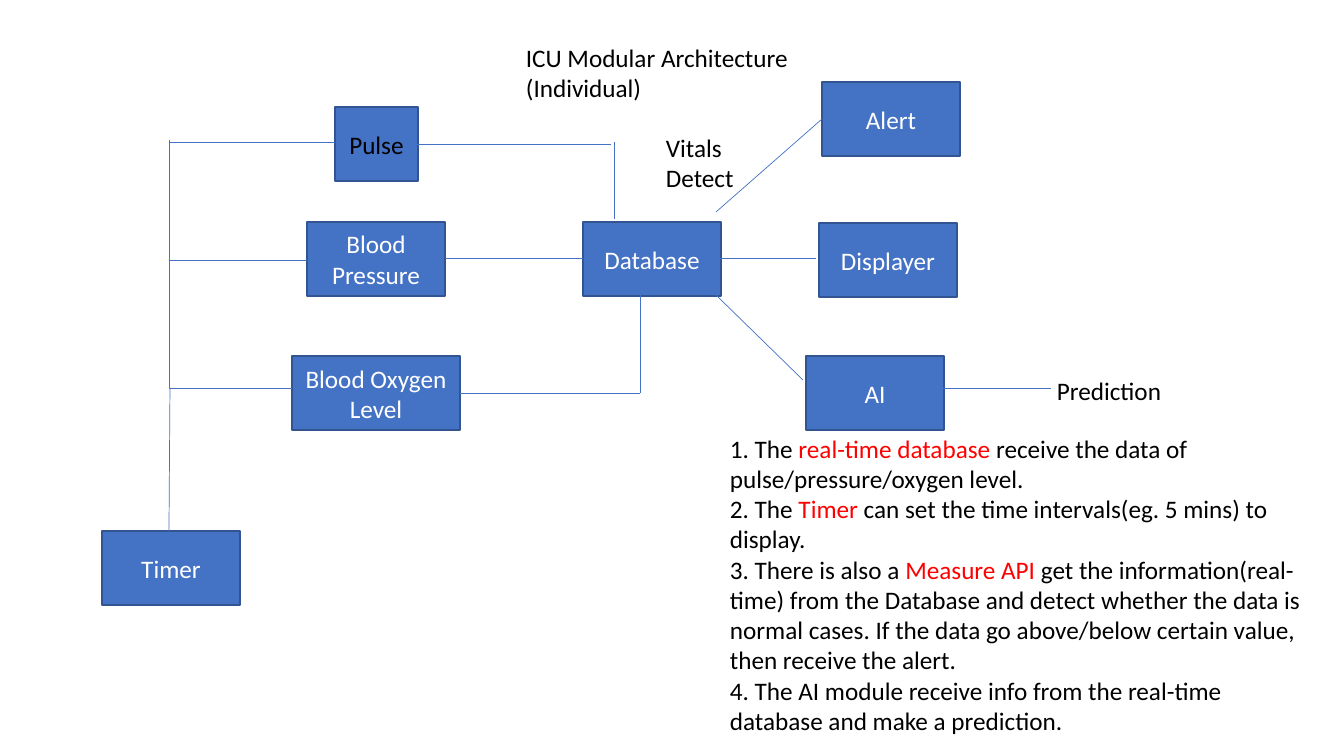
"""Builds the ICU modular architecture slide: modules, links and notes."""
from lxml import etree
from pptx import Presentation
from pptx.dml.color import RGBColor
from pptx.enum.shapes import MSO_CONNECTOR, MSO_SHAPE
from pptx.enum.text import MSO_ANCHOR, PP_ALIGN
from pptx.oxml.ns import qn
from pptx.util import Pt

PX = 914400 / 100.8
BLUE = RGBColor(0x44, 0x72, 0xC4)
EDGE = RGBColor(0x32, 0x54, 0x91)
WHITE = RGBColor(0xFF, 0xFF, 0xFF)
BLACK = RGBColor(0x00, 0x00, 0x00)
RED = RGBColor(0xFF, 0x00, 0x00)
RECTANGLE = MSO_SHAPE.RECTANGLE
STRAIGHT = MSO_CONNECTOR.STRAIGHT
MIDDLE = MSO_ANCHOR.MIDDLE
LEFT, CENTER = PP_ALIGN.LEFT, PP_ALIGN.CENTER


def emu(*pixels):
    return [round(p * PX) for p in pixels]


def style(paragraph, color, align):
    paragraph.alignment = align
    paragraph.font.name = "Calibri"
    paragraph.font.size = Pt(18)
    paragraph.font.color.rgb = color


prs = Presentation()
prs.slide_width, prs.slide_height = emu(1344, 756)
slide = prs.slides.add_slide(prs.slide_layouts[6])

MODULE_WIDTH, MODULE_HEIGHT = 138, 74
modules = [
    ("Pulse", 335, 107, 83, BLACK),
    ("Blood Pressure", 307, 222, MODULE_WIDTH, WHITE),
    ("Blood Oxygen Level", 292, 356, 168, WHITE),
    ("Database", 583, 222, MODULE_WIDTH, WHITE),
    ("Alert", 822, 82, MODULE_WIDTH, WHITE),
    ("Displayer", 819, 223, MODULE_WIDTH, WHITE),
    ("AI", 806, 356, MODULE_WIDTH, WHITE),
    ("Timer", 102, 531, MODULE_WIDTH, WHITE),
]
for label, x, y, width, color in modules:
    module = slide.shapes.add_shape(RECTANGLE, *emu(x, y, width, MODULE_HEIGHT))
    module.shadow.inherit = False
    module.fill.solid()
    module.fill.fore_color.rgb = BLUE
    module.line.color.rgb = EDGE
    module.line.width = Pt(1)
    module.text_frame.word_wrap = True
    module.text_frame.vertical_anchor = MIDDLE
    module.text_frame.text = label
    style(module.text_frame.paragraphs[0], color, CENTER)

TIMER_X = 169
sensor_to_database = [
    (417, 144, 611, 144), (614, 142, 614, 219),
    (445, 258, 583, 258),
    (460, 393, 640, 393), (640, 393, 640, 295),
]
database_to_output = [
    (716, 212, 822, 119), (720, 258, 816, 258),
    (716, 295, 803, 380), (943, 388, 1051, 388),
]
timer_to_sensor = [
    (TIMER_X, 142, 335, 142), (TIMER_X, 260, 307, 260), (TIMER_X, 388, 292, 388),
    (TIMER_X, 140, TIMER_X, 388), (TIMER_X + 1, 388, TIMER_X, 531),
]
for ends in sensor_to_database + database_to_output + timer_to_sensor:
    link = slide.shapes.add_connector(STRAIGHT, *emu(*ends))
    link.line.color.rgb = BLUE
    link.line.width = Pt(0.5)
    etree.SubElement(link._element.spPr, qn("a:effectLst"))

notes = [
    [("1. The ", False), ("real-time database ", True),
     ("receive the data of pulse/pressure/oxygen level.", False)],
    [("2. The ", False), ("Timer", True),
     (" can set the time intervals(eg. 5 mins) to display.", False)],
    [("3. There is also a ", False), ("Measure API ", True),
     ("get the information(real-time) from the Database and detect whether the data "
      "is normal cases. If the data go above/below certain value, then receive the "
      "alert.", False)],
    [("4. The AI module receive info from the real-time database and make a "
      "prediction.", False)],
]
captions = [
    ([[("ICU Modular Architecture (Individual)", False)]], (516, 37, 341, 72), LEFT, True),
    ([[("Vitals Detect", False)]], (656, 127, 130, 72), LEFT, True),
    ([[("Prediction", False)]], (1046, 370, 126, 40), CENTER, False),
    (notes, (720, 428, 600, 316), LEFT, True),
]
for paragraphs, area, align, wraps in captions:
    frame = slide.shapes.add_textbox(*emu(*area)).text_frame
    frame.word_wrap = wraps
    for index, pieces in enumerate(paragraphs):
        paragraph = frame.add_paragraph() if index else frame.paragraphs[0]
        style(paragraph, BLACK, align)
        for words, highlighted in pieces:
            run = paragraph.add_run()
            run.text = words
            if highlighted:
                run.font.color.rgb = RED

prs.save("out.pptx")
